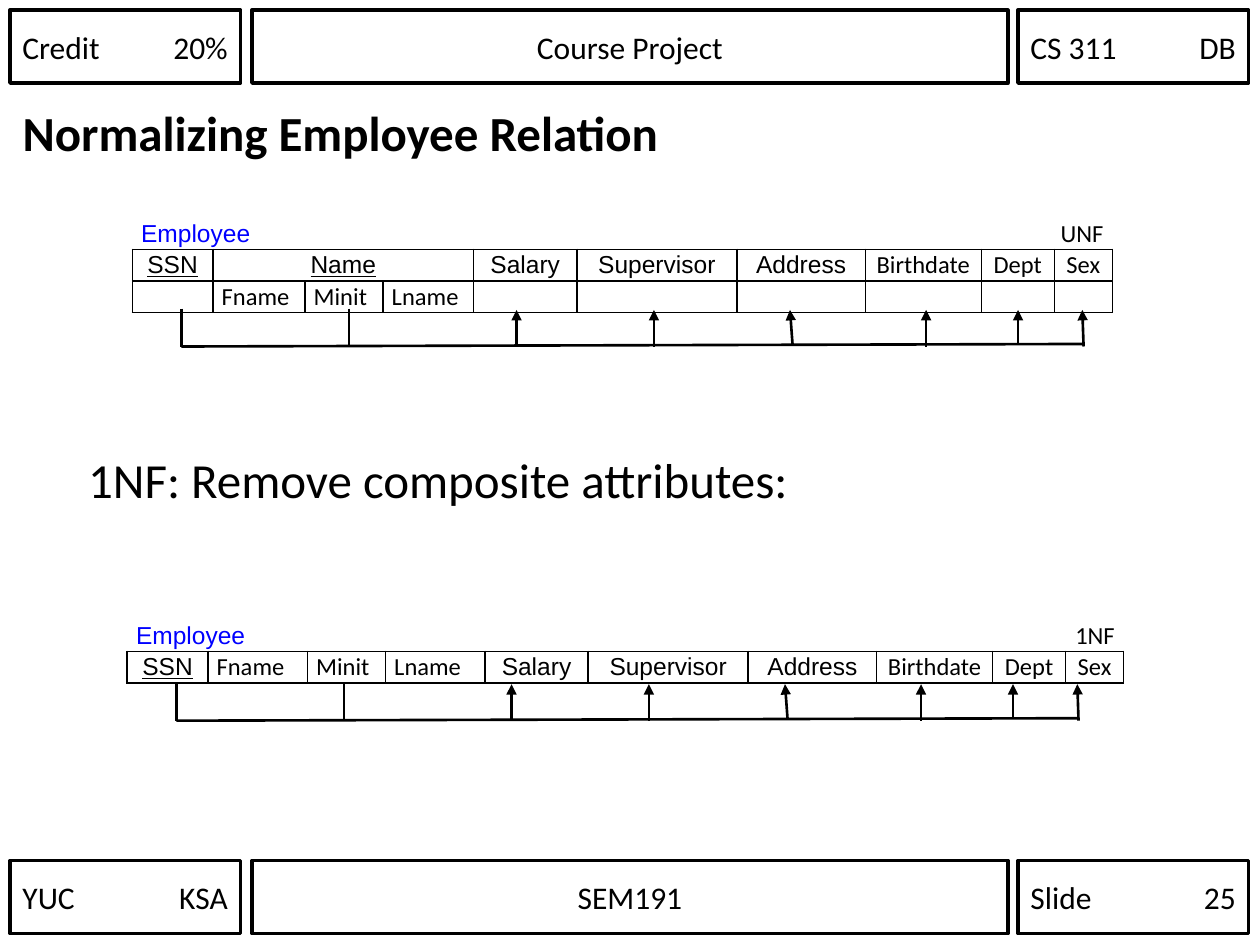
from lxml.etree import SubElement
from pptx import Presentation
from pptx.dml.color import RGBColor
from pptx.enum.shapes import MSO_CONNECTOR, MSO_SHAPE
from pptx.enum.text import MSO_ANCHOR, PP_ALIGN
from pptx.oxml.ns import qn
from pptx.util import Inches, Pt

COLORS = {"ink": "000000", "name": "0000FF"}
L, C, R = PP_ALIGN.LEFT, PP_ALIGN.CENTER, PP_ALIGN.RIGHT

TITLE = "Normalizing Employee Relation"
STEP = "1NF: Remove composite attributes:"
BAR_TOPS = [0.08, 6.83]
BAR_COLS = [(0.08, 1.83, L), (2, 6, C), (8.08, 1.83, L)]
BARS = [
    ["Credit\t20%", "Course Project", "CS 311\tDB"],
    ["YUC\tKSA", "SEM191", "Slide\t25"],
]

PARTS = [(1, "Fname"), (2, "Minit"), (3, "Lname")]
PART_CELLS = [(col, 1, text, "Calibri", L, False) for col, text in PARTS]
ATTRIBUTES = [
    (0, 1, "SSN", "Arial", C, True),
    (4, 1, "Salary", "Arial", C, False),
    (5, 1, "Supervisor", "Arial", C, False),
    (6, 1, "Address", "Arial", C, False),
    (7, 1, "Birthdate", "Calibri", C, False),
    (8, 1, "Dept", "Calibri", C, False),
    (9, 1, "Sex", "Calibri", C, False),
]
NAME_CELL = (1, 3, "Name", "Arial", C, True)

RELATIONS = [
    {"form": "UNF", "left": 1.05, "top": 1.73, "keys_top": 2.45,
     "part_widths": [0.73, 0.62, 0.72],
     "rows": [ATTRIBUTES + [NAME_CELL], PART_CELLS]},
    {"form": "1NF", "left": 1.01, "top": 4.92, "keys_top": 5.42,
     "part_widths": [0.79, 0.62, 0.79],
     "rows": [ATTRIBUTES + PART_CELLS]},
]
FIRST_WIDTH = 0.64
OTHER_WIDTHS = [0.82, 1.27, 1.02, 0.92, 0.58, 0.46]
ROW_HEIGHT = 0.25

KEYS = [0.39, 1.72]
DEPENDENTS = [
    (3.05, 3.05, 0.3), (4.14, 4.14, 0.3), (5.24, 5.22, 0.28),
    (6.3, 6.3, 0.3), (7.03, 7.03, 0.27), (7.55, 7.54, 0.3),
]


def rgb(key):
    return RGBColor.from_string(COLORS[key])


def add_run(p, text, size, font="Calibri", color="ink", bold=False, underline=False):
    r = p.add_run()
    r.text = text
    r.font.size, r.font.name = Pt(size), font
    r.font.bold, r.font.underline = bold, underline
    r.font.color.rgb = rgb(color)


def place(sp, left, top, width, height):
    sp.left, sp.top = Inches(left), Inches(top)
    sp.width, sp.height = Inches(width), Inches(height)


def add_bar(s, text, left, top, width, align):
    sp = s.shapes.add_shape(MSO_SHAPE.RECTANGLE, Inches(left), Inches(top),
                            Inches(width), Inches(0.58))
    sp.shadow.inherit = False
    sp.fill.background()
    sp.line.color.rgb, sp.line.width = rgb("ink"), Pt(2)
    sp.text_frame.vertical_anchor = MSO_ANCHOR.MIDDLE
    p = sp.text_frame.paragraphs[0]
    p.alignment = align
    if "\t" in text:
        tabs = SubElement(p._p.get_or_add_pPr(), qn("a:tabLst"))
        SubElement(tabs, qn("a:tab"), pos=str(Inches(1.63)), algn="r")
    add_run(p, text, 18)


def add_line(s, x1, y1, x2, y2, arrow=False):
    ln = s.shapes.add_connector(MSO_CONNECTOR.STRAIGHT, Inches(x1), Inches(y1),
                                Inches(x2), Inches(y2))
    ln.line.color.rgb, ln.line.width = rgb("ink"), Pt(1.5)
    if arrow:
        SubElement(ln.line._get_or_add_ln(), qn("a:tailEnd"), type="triangle")
    SubElement(ln._element.spPr, qn("a:effectLst"))


def format_cell(cell, sides):
    cell.margin_left = cell.margin_right = Inches(0.07)
    cell.margin_top = cell.margin_bottom = 0
    cell.vertical_anchor = MSO_ANCHOR.MIDDLE
    tcPr = cell._tc.get_or_add_tcPr()
    for side in "LRTB":
        ln = SubElement(tcPr, qn(f"a:ln{side}"), w=str(Pt(1)))
        if side in sides:
            fill = SubElement(ln, qn("a:solidFill"))
            SubElement(fill, qn("a:srgbClr"), val=COLORS["ink"])
        else:
            SubElement(ln, qn("a:noFill"))
    cell.fill.background()


def fill_cell(table, row, col, span, text, font, align, underline, color="ink"):
    cell = table.cell(row, col)
    if span > 1:
        cell.merge(table.cell(row, col + span - 1))
    p = cell.text_frame.paragraphs[0]
    p.alignment = align
    add_run(p, text, 14, font, color, underline=underline)


def add_relation(s, rel):
    widths = [FIRST_WIDTH] + rel["part_widths"] + OTHER_WIDTHS
    count = len(rel["rows"]) + 1
    table = s.shapes.add_table(count, len(widths), Inches(rel["left"]), Inches(rel["top"]),
                               Inches(sum(widths)), Inches(count * ROW_HEIGHT)).table
    table.first_row = table.horz_banding = False
    for col, width in zip(table.columns, widths):
        col.width = Inches(width)
    for i, row in enumerate(table.rows):
        row.height = Inches(ROW_HEIGHT)
        for cell in row.cells:
            format_cell(cell, "LRTB" if i else "B")
    fill_cell(table, 0, 0, 4, "Employee", "Arial", L, False, "name")
    fill_cell(table, 0, 8, 2, rel["form"], "Calibri", R, False)
    for i, cells in enumerate(rel["rows"], 1):
        for spec_cell in cells:
            fill_cell(table, i, *spec_cell)
    for cell in table.iter_cells():
        p = cell.text_frame.paragraphs[0]
        if not p.runs:
            SubElement(p._p, qn("a:endParaRPr"), sz="1400")


def add_dependencies(s, left, top):
    bus = top + 0.3
    for x in KEYS:
        add_line(s, left + x, top, left + x, bus)
    add_line(s, left + KEYS[0], bus, left + DEPENDENTS[-1][1], bus - 0.02)
    for x1, x2, drop in DEPENDENTS:
        add_line(s, left + x1, top + drop, left + x2, top + 0.01, arrow=True)


def main():
    prs = Presentation()
    prs.slide_width, prs.slide_height = Inches(10), Inches(7.5)
    s = prs.slides.add_slide(prs.slide_layouts[1])

    title, body = s.shapes.title, s.placeholders[1]
    place(title, 0.08, 0.75, 9.83, 0.6)
    place(body, 0.6, 3.5, 9.3, 0.6)
    for sp, text, bold in [(title, TITLE, True), (body, STEP, False)]:
        sp.text_frame.vertical_anchor = MSO_ANCHOR.MIDDLE
        p = sp.text_frame.paragraphs[0]
        p.alignment = L
        p.space_before = Pt(0)
        pPr = p._p.get_or_add_pPr()
        pPr.set("marL", "0")
        pPr.set("indent", "0")
        SubElement(pPr, qn("a:buNone"))
        add_run(p, text, 28, bold=bold)

    for rel in RELATIONS:
        add_relation(s, rel)
        add_dependencies(s, rel["left"], rel["keys_top"])

    for top, texts in zip(BAR_TOPS, BARS):
        for text, (left, width, align) in zip(texts, BAR_COLS):
            add_bar(s, text, left, top, width, align)

    prs.save("out.pptx")


if __name__ == "__main__":
    main()
